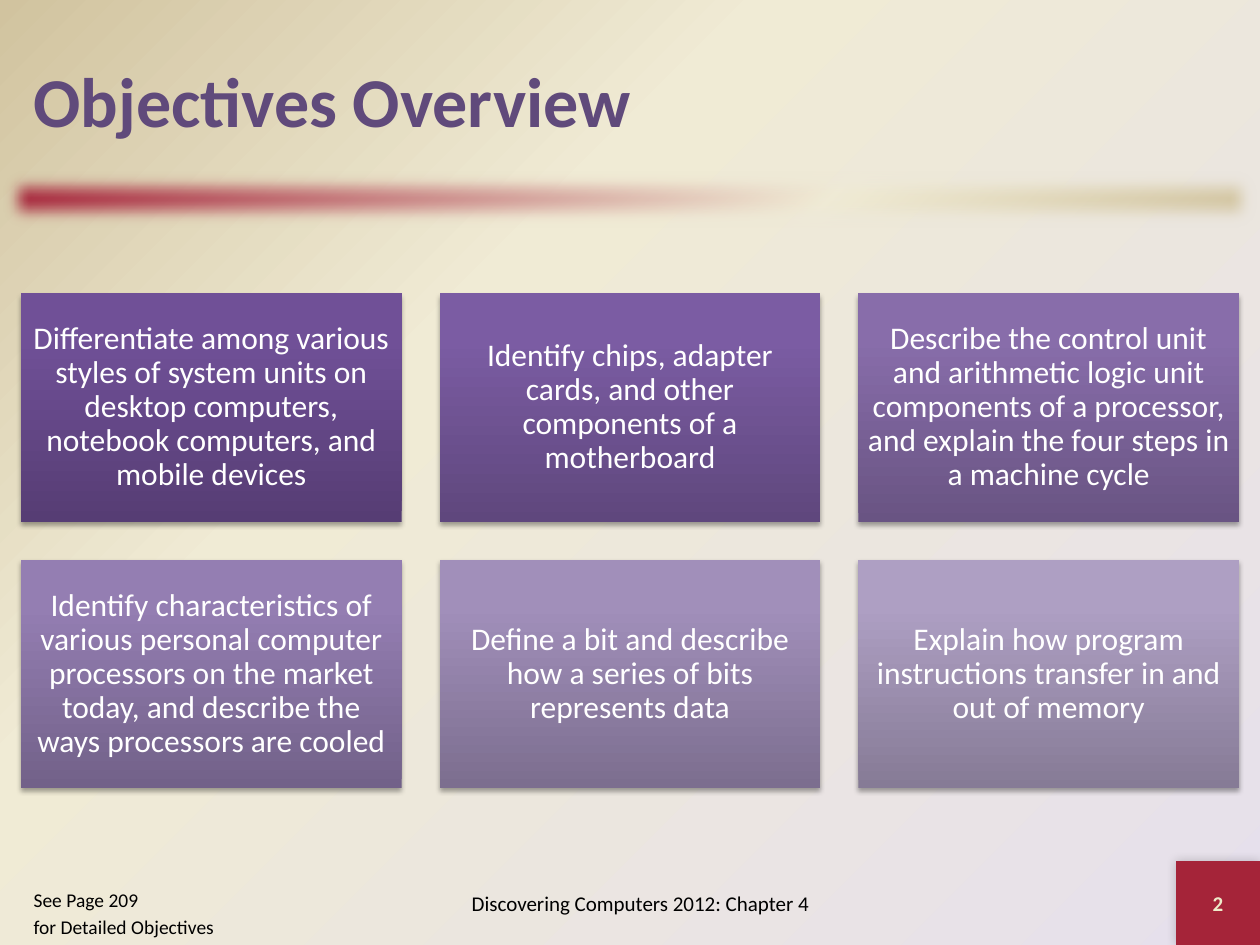
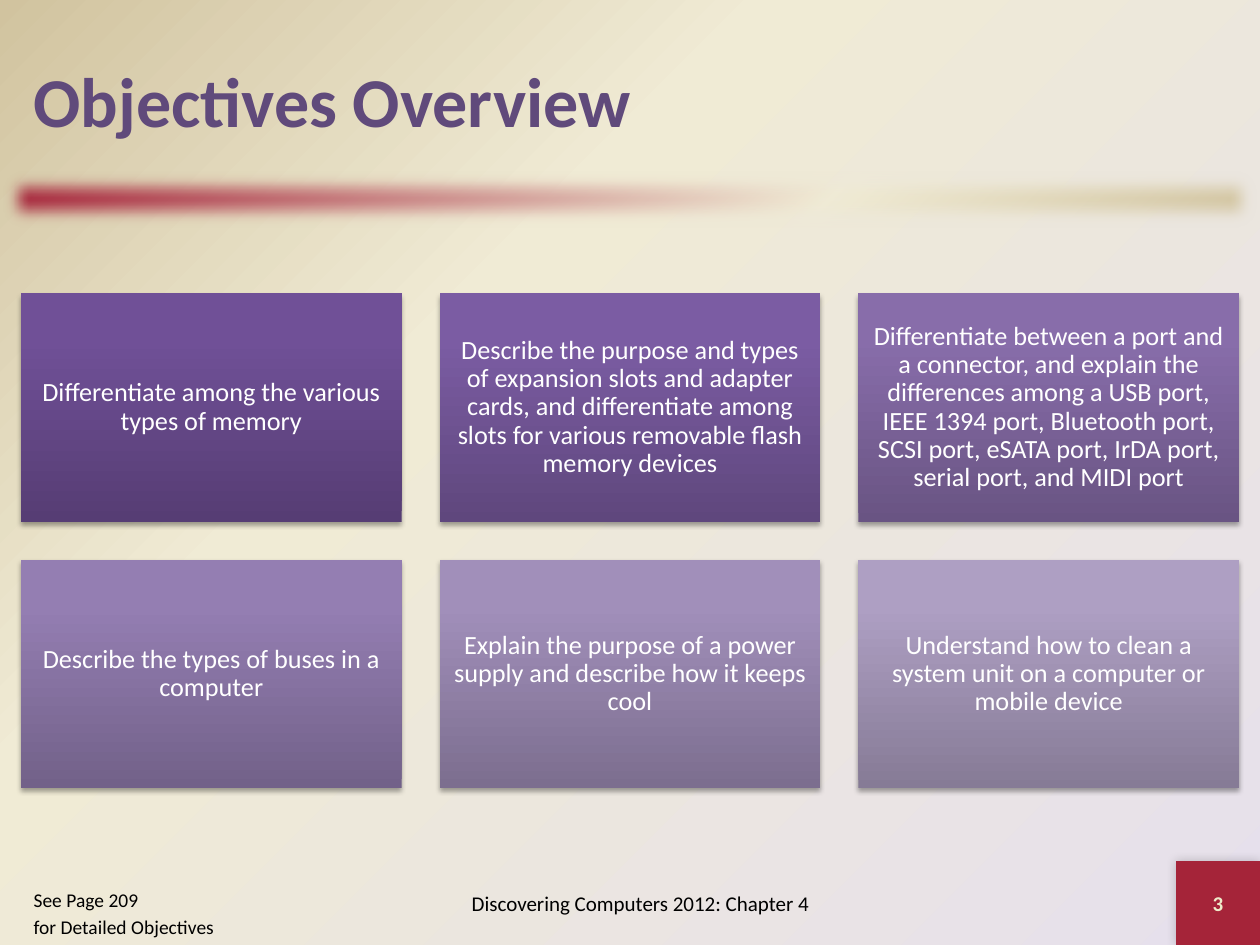
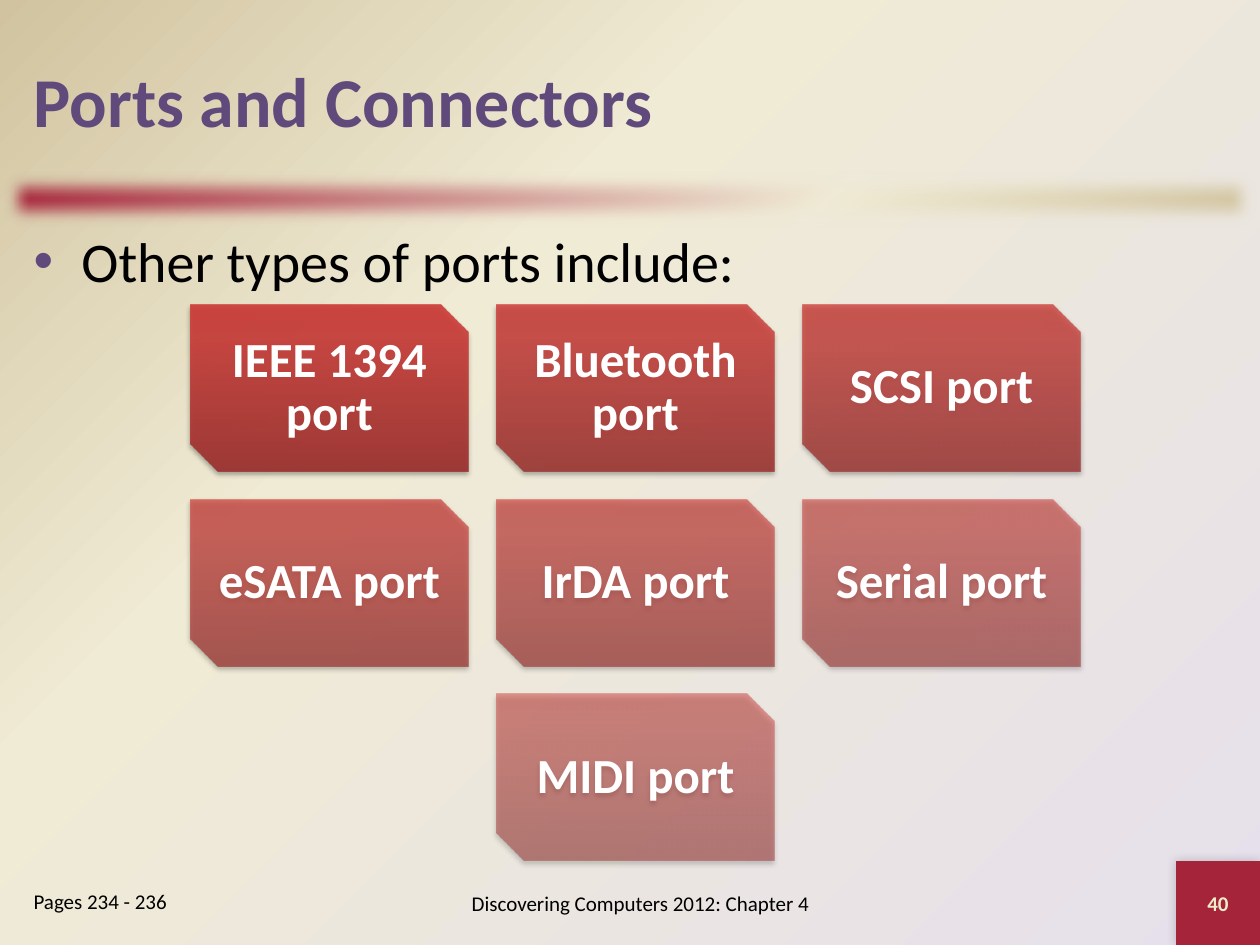
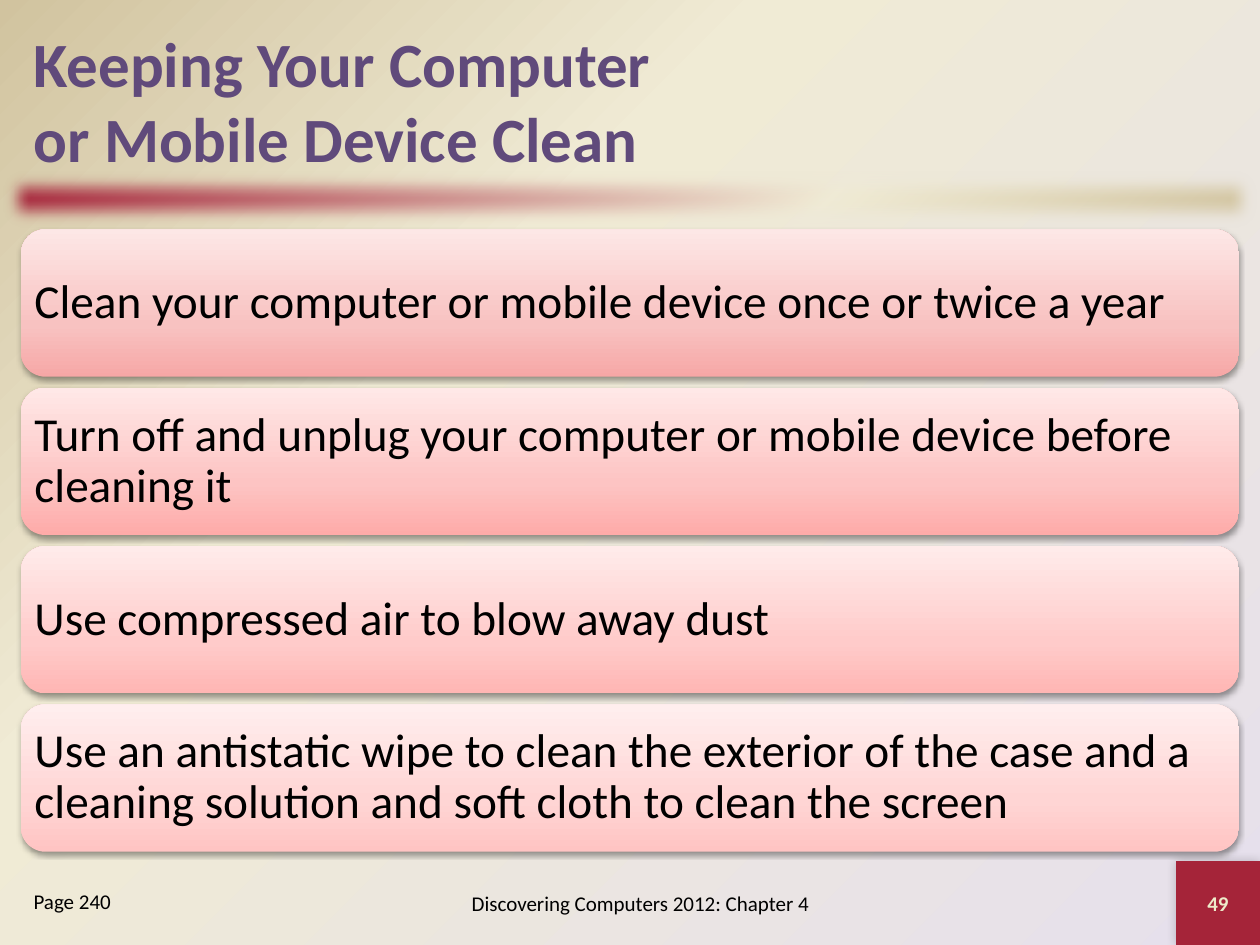
from lxml import etree
from pptx import Presentation
from pptx.dml.color import RGBColor
from pptx.enum.shapes import MSO_SHAPE
from pptx.enum.text import MSO_ANCHOR, MSO_AUTO_SIZE, PP_ALIGN
from pptx.oxml import parse_xml
from pptx.oxml.ns import nsdecls, qn
from pptx.util import Inches, Pt

LEFT, CENTER = PP_ALIGN.LEFT, PP_ALIGN.CENTER
TOP, MIDDLE = MSO_ANCHOR.TOP, MSO_ANCHOR.MIDDLE
NO_FIT = MSO_AUTO_SIZE.NONE
RECTANGLE = MSO_SHAPE.RECTANGLE
ROUNDED = MSO_SHAPE.ROUNDED_RECTANGLE
SNIPPED = MSO_SHAPE.SNIP_2_DIAG_RECTANGLE

COLUMNS, ROWS = 60, 45
FONT = "Calibri"
PURPLE, RED, CREAM = "604A7B", "A52439", "EEEBCA"
BLACK, WHITE = "000000", "FFFFFF"
HANGING = Inches(0.38)
FOOTER = "Discovering Computers 2012: Chapter 4"

BACKGROUND = [(0, "E6E0EC"), (65, "F0EBD5"), (100, "D1C39F")]
BAND = [(0, RED), (65, "F0EBD5"), (100, "D1C39F")]
UPWARD = 270
TILE_STOPS, BAR_STOPS = (0, 80, 100), (0, 35, 100)
TILE_SHADOW, BAR_SHADOW = (35, 3.1, 1.8, 90), (38, 3.1, 1.6, 90)
CORNER_SHADOW = (20, 6, 0, 225)
PURPLES = [
    ("563D74", "705097", "704F99"),
    ("5F477D", "7B5CA3", "7C5BA5"),
    ("695483", "886DAA", "886DAC"),
    ("726189", "947EB2", "957EB4"),
    ("7C6E8F", "A18FBA", "A18FBC"),
    ("867B96", "AE9FC3", "AE9FC4"),
]
REDS = ("9C2F2D", "CB3E3A", "CE3B37")
PINKS = [
    ("F6A7A6", "F8C2C1", "FDE7E6"),
    ("FEABA9", "FDC4C3", "FFE8E7"),
    ("FFB6B4", "FFCBCA", "FFEBEA"),
    ("FFC4C3", "FFD5D4", "FFEEEE"),
]


def rgb(color):
    return RGBColor.from_string(color)


def gradient(stops, angle=None, alpha=100):
    """Gradient element: linear at an angle, or radial from the bottom right."""
    marks = "".join(
        f'<a:gs pos="{share * 1000}"><a:srgbClr val="{color}">'
        f'<a:alpha val="{round(alpha * 1000)}"/></a:srgbClr></a:gs>'
        for share, color in stops)
    if angle is None:
        direction = '<a:path path="circle"><a:fillToRect l="100000" t="100000"/></a:path>'
    else:
        direction = f'<a:lin ang="{angle * 60000}" scaled="0"/>'
    return parse_xml(f'<a:gradFill {nsdecls("a")} rotWithShape="1">'
                     f'<a:gsLst>{marks}</a:gsLst>{direction}</a:gradFill>')


def shadow(alpha, blur, distance, angle):
    return (f'<a:outerShdw blurRad="{Pt(blur)}" dist="{Pt(distance)}" '
            f'dir="{angle * 60000}" rotWithShape="0"><a:srgbClr val="{BLACK}">'
            f'<a:alpha val="{alpha * 1000}"/></a:srgbClr></a:outerShdw>')


def set_effect(shape, effect):
    shape.shadow.inherit = False
    effects = shape._element.spPr.find(qn("a:effectLst"))
    effects.append(parse_xml(effect.replace(" ", f' {nsdecls("a")} ', 1)))


def set_bullet(properties, bullet):
    if not bullet:
        etree.SubElement(properties, qn("a:buNone"))
        return
    color = etree.SubElement(properties, qn("a:buClr"))
    etree.SubElement(color, qn("a:srgbClr"), val=PURPLE)
    etree.SubElement(properties, qn("a:buFont"), typeface="Arial")
    etree.SubElement(properties, qn("a:buChar"), char=bullet)


def write(box, *lines, size, color=BLACK, bold=False, align=LEFT, anchor=MIDDLE,
          margin=None, spacing=None, hanging=False, bullet=None):
    frame = box.text_frame
    frame.word_wrap, frame.auto_size = True, NO_FIT
    frame.vertical_anchor = anchor
    if margin is not None:
        frame.margin_left = frame.margin_right = Inches(margin)
        frame.margin_top = frame.margin_bottom = Inches(margin)
    for index, line in enumerate(lines):
        para = frame.add_paragraph() if index else frame.paragraphs[0]
        para.text = line
        para.alignment = align
        para.space_before = Pt(0.2 * size if index else 0)
        if spacing:
            para.line_spacing = spacing
        if hanging:
            properties = para._p.get_or_add_pPr()
            properties.set("marL", str(HANGING))
            properties.set("indent", str(-HANGING))
            set_bullet(properties, bullet)
        for span in para.runs:
            span.font.name, span.font.size = FONT, Pt(size)
            span.font.bold, span.font.color.rgb = bold, rgb(color)


class ChapterDeck:
    def __init__(self):
        self.deck = Presentation()
        self.deck.slide_width, self.deck.slide_height = Inches(10), Inches(7.5)
        self.page = None

    def area(self, left, top, width, height):
        across = self.deck.slide_width / COLUMNS
        down = self.deck.slide_height / ROWS
        return (round(left * across), round(top * down),
                round(width * across), round(height * down))

    def place(self, box, *cells):
        box.left, box.top, box.width, box.height = self.area(*cells)
        return box

    def shape(self, kind, *cells, fill, effect):
        """Add an unlined shape, filled with a hex colour or a gradient element."""
        shape = self.page.shapes.add_shape(kind, *self.area(*cells))
        shape.line.fill.background()
        if isinstance(fill, str):
            shape.fill.solid()
            shape.fill.fore_color.rgb = rgb(fill)
        else:
            shape.fill.background()
            properties = shape._element.spPr
            properties.replace(properties.find(qn("a:noFill")), fill)
        set_effect(shape, effect)
        return shape

    def label(self, text, *cells, **style):
        box = self.page.shapes.add_textbox(*self.area(*cells))
        write(box, text, size=12, align=CENTER, **style)

    def dress_master(self):
        """Give the master the background, the soft band and the number's square."""
        master = self.deck.slide_master
        master.background.fill.background()
        properties = master._element.find(".//" + qn("p:bgPr"))
        properties.replace(properties.find(qn("a:noFill")), gradient(BACKGROUND))
        band = self.shape(RECTANGLE, 0, 8, 60, 3, fill=gradient(BAND, 45),
                          effect=f'<a:softEdge rad="{Pt(10)}"/>')
        corner = self.shape(RECTANGLE, 56, 41, 4, 4, fill=RED,
                            effect=shadow(*CORNER_SHADOW))
        for shape in (band, corner):
            master.shapes._spTree.append(shape._element)

    def new_page(self, title, number, *note, title_size=40, note_size=12, bullets=()):
        first = self.page is None
        self.page = self.deck.slides.add_slide(self.deck.slide_layouts[3])
        if first:
            self.dress_master()
        heading = self.place(self.page.shapes.title, 1, 1, 58, 7.5)
        write(heading, title, size=title_size, color=PURPLE, bold=True)
        reference, body = self.page.placeholders[1], self.page.placeholders[2]
        self.place(reference, 1, 42, 11, 3)
        write(reference, *note, size=note_size, anchor=TOP, hanging=True)
        if bullets:
            self.place(body, 1, 10.5, 58, 30.5)
            write(body, *bullets, size=32, anchor=TOP, hanging=True, bullet="•")
        else:
            body._element.getparent().remove(body._element)
        self.label(FOOTER, 18, 41.5, 25, 3)
        self.label(str(number), 56, 41, 4, 4, color=CREAM, bold=True)

    def tiles(self, texts, fills, left, top, width, kind=RECTANGLE, **style):
        """Lay tiles three to a row, centring a short last row."""
        for index, (text, fill) in enumerate(zip(texts, fills)):
            row, column = divmod(index, 3)
            missing = max(0, 3 * (row + 1) - len(texts))
            tile = self.shape(kind, left + 1.1 * width * (column + missing / 2),
                              top + 0.7 * width * row, width, 0.6 * width,
                              fill=fill, effect=shadow(*TILE_SHADOW))
            write(tile, text, color=WHITE, align=CENTER, spacing=0.9, **style)

    def objectives(self, number, texts, size):
        self.new_page("Objectives Overview", number, "See Page 209",
                      "for Detailed Objectives", note_size=11.1)
        fills = [gradient(zip(TILE_STOPS, colors), UPWARD) for colors in PURPLES]
        self.tiles(texts, fills, 1, 13.97, 58 / 3.2, size=size, margin=0.07)

    def bars(self, texts):
        for index, (text, colors) in enumerate(zip(texts, PINKS)):
            bar = self.shape(ROUNDED, 1, 10.92 + 7.54 * index, 58, 7.02,
                             fill=gradient(zip(BAR_STOPS, colors), UPWARD),
                             effect=shadow(*BAR_SHADOW))
            write(bar, text, size=27, margin=0.05, spacing=0.9)


def main():
    chapter = ChapterDeck()
    chapter.objectives(2, [
        "Differentiate among various styles of system units on desktop computers, "
        "notebook computers, and mobile devices",
        "Identify chips, adapter cards, and other components of a motherboard",
        "Describe the control unit and arithmetic logic unit components of a "
        "processor, and explain the four steps in a machine cycle",
        "Identify characteristics of various personal computer processors on the "
        "market today, and describe the ways processors are cooled",
        "Define a bit and describe how a series of bits represents data",
        "Explain how program instructions transfer in and out of memory",
    ], size=18)
    chapter.objectives(3, [
        "Differentiate among the various types of memory",
        "Describe the purpose and types of expansion slots and adapter cards, and "
        "differentiate among slots for various removable flash memory devices",
        "Differentiate between a port and a connector, and explain the differences "
        "among a USB port, IEEE 1394 port, Bluetooth port, SCSI port, eSATA port, "
        "IrDA port, serial port, and MIDI port",
        "Describe the types of buses in a computer",
        "Explain the purpose of a power supply and describe how it keeps cool",
        "Understand how to clean a system unit on a computer or mobile device",
    ], size=15)

    chapter.new_page("Ports and Connectors", 40, "Pages 234 - 236",
                     bullets=["Other types of ports include:"])
    ports = [f"{name} port" for name in
             ("IEEE 1394", "Bluetooth", "SCSI", "eSATA", "IrDA", "Serial", "MIDI")]
    fading = [gradient(zip(TILE_STOPS, REDS), UPWARD, 90 - 40 * step / 6)
              for step in range(len(ports))]
    chapter.tiles(ports, fading, 9.06, 14.5, 13.25, kind=SNIPPED,
                  size=28, bold=True, margin=0.01)

    chapter.new_page("Keeping Your Computer\vor Mobile Device Clean", 49, "Page 240",
                     title_size=36)
    chapter.bars([
        "Clean your computer or mobile device once or twice a year",
        "Turn off and unplug your computer or mobile device before cleaning it",
        "Use compressed air to blow away dust",
        "Use an antistatic wipe to clean the exterior of the case and a cleaning "
        "solution and soft cloth to clean the screen",
    ])
    chapter.deck.save("out.pptx")


if __name__ == "__main__":
    main()
